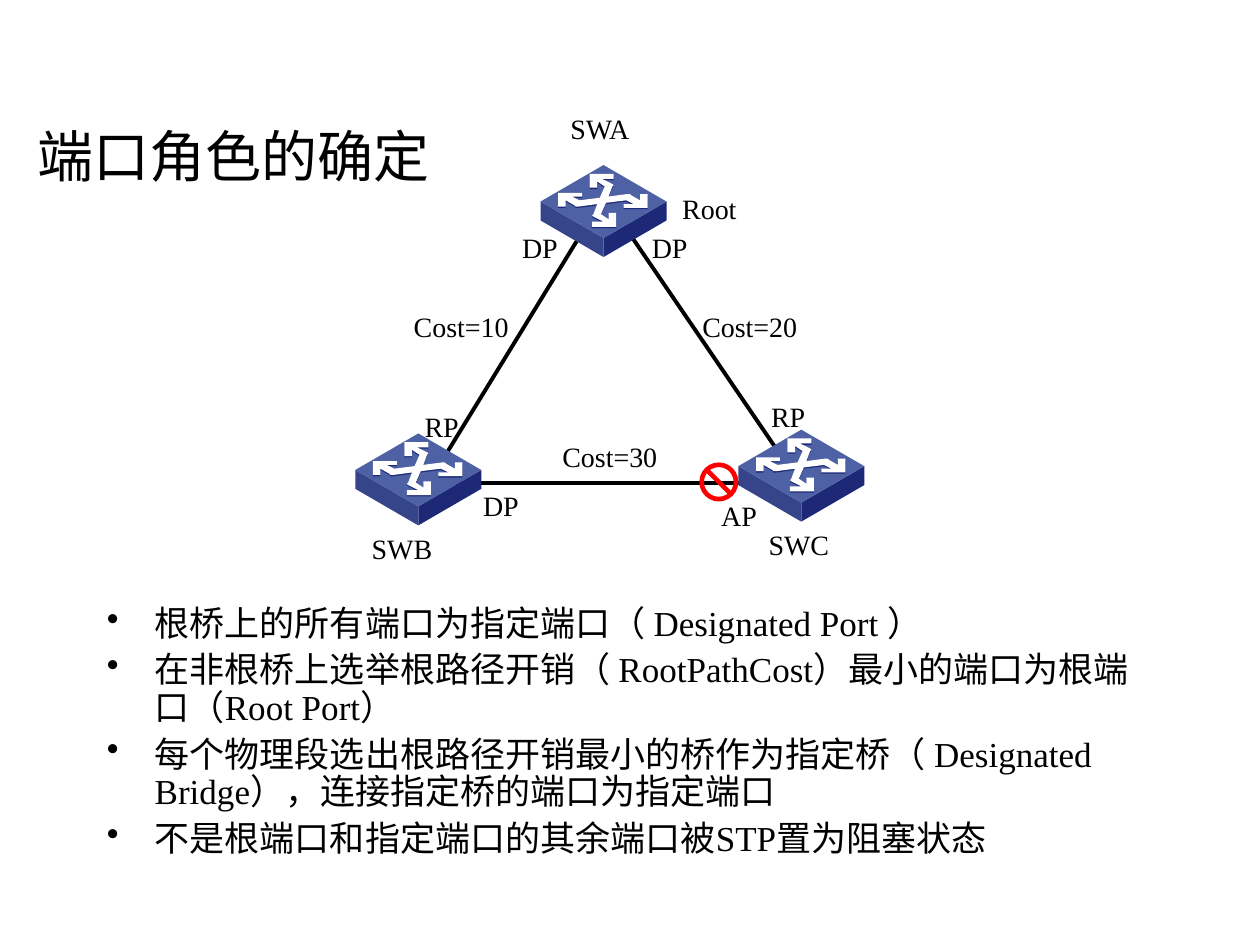
"""Build a slide on how spanning tree port roles are chosen."""
from lxml import etree
from pptx import Presentation
from pptx import util as u
from pptx.dml.color import RGBColor
from pptx.enum import shapes, text
from pptx.oxml import ns

COLORS = {"ink": "000000", "top": "4D61A4", "left": "36458A", "right": "1D2977",
          "arrow": "FFFFFF", "blocked": "FF0000"}
FONT = "Times New Roman"
TITLE = "端口角色的确定"
RULES = [
    "根桥上的所有端口为指定端口（ Designated Port ）",
    "在非根桥上选举根路径开销（ RootPathCost）最小的端口为根端口（Root Port）",
    "每个物理段选出根路径开销最小的桥作为指定桥（ Designated Bridge），连接指定桥的端口为指定端口",
    "不是根端口和指定端口的其余端口被STP置为阻塞状态",
]
LINKS = [((3.5, 3.67), (4.61, 1.86)), ((3.58, 3.83), (6.02, 3.83)), ((5, 1.86), (6.18, 3.59))]
SWITCHES = [(2.82, 3.44), (5.86, 3.41), (4.29, 1.31)]
NAME_WIDTH, PORT_WIDTH, LABEL_HEIGHT = 1.42, 0.79, 0.37
NAMES = [("SWA", 4.05, 0.84), ("SWB", 2.48, 4.17), ("SWC", 5.63, 4.14), ("Root", 4.92, 1.47),
         ("Cost=10", 2.95, 2.41), ("Cost=20", 5.24, 2.41), ("Cost=30", 4.13, 3.44)]
PORTS = [("DP", 3.89, 1.78), ("DP", 4.92, 1.78), ("RP", 3.11, 3.2), ("DP", 3.58, 3.83),
         ("RP", 5.86, 3.12), ("AP", 5.47, 3.91)]

HALF_ARROWS = [(85, 23), (79, 23), (79, 28), (72, 24), (71, 23), (69, 23), (54, 25), (57, 17),
               (58, 16), (57, 15), (49, 11), (58, 11), (58, 7), (39, 7), (39, 18), (45, 18),
               (45, 13), (51, 17), (47, 26), (31, 28), (25, 25), (33, 25), (33, 22), (14, 22)]
ARROWS = HALF_ARROWS + [(99 - x, 56 - y) for x, y in HALF_ARROWS]
SWITCH_FACES = [
    ("right", [(100, 29), (100, 44), (50, 73), (50, 58)]),
    ("left", [(50, 58), (50, 73), (0, 44), (0, 29)]),
    ("top", [(100, 29), (50, 58), (0, 29), (50, 0)]),
    ("right", [(x, y + 1) for x, y in ARROWS]),
    ("arrow", ARROWS),
]


def rgb(name):
    return RGBColor.from_string(COLORS[name])


def paint(shape, color):
    shape.shadow.inherit = False
    shape.fill.solid()
    shape.fill.fore_color.rgb = rgb(color)
    shape.line.fill.background()


def add_frame(slide, left, top, width, height):
    frame = slide.shapes.add_textbox(*map(u.Inches, (left, top, width, height))).text_frame
    frame.word_wrap = True
    return frame


def write(paragraph, words, size):
    run = paragraph.add_run()
    run.text = words
    run.font.size, run.font.name = u.Pt(size), FONT
    run.font.color.rgb = rgb("ink")


def add_label(slide, words, left, top, width):
    paragraph = add_frame(slide, left, top, width, LABEL_HEIGHT).paragraphs[0]
    paragraph.alignment = text.PP_ALIGN.CENTER
    write(paragraph, words, 16)


def add_link(slide, start, end):
    link = slide.shapes.add_connector(shapes.MSO_CONNECTOR.STRAIGHT,
                                      *map(u.Inches, (*start, *end)))
    link.line.color.rgb = rgb("ink")
    link.line.width = u.Pt(2.25)
    etree.SubElement(link._element.spPr, ns.qn("a:effectLst"))


def add_switch(slide, left, top):
    switch = slide.shapes.add_group_shape()
    for color, (start, *rest) in SWITCH_FACES:
        outline = switch.shapes.build_freeform(*start, scale=u.Inches(0.01))
        outline.add_line_segments(rest, close=True)
        paint(outline.convert_to_shape(u.Inches(left), u.Inches(top)), color)


def add_rules(slide):
    frame = add_frame(slide, 0.75, 4.76, 8.43, 2.31)
    for index, rule in enumerate(RULES):
        paragraph = frame.add_paragraph() if index else frame.paragraphs[0]
        paragraph.line_spacing = 0.9
        paragraph.space_before = u.Pt(5 if index else 0)
        properties = paragraph._p.get_or_add_pPr()
        properties.set("marL", str(u.Inches(0.38)))
        properties.set("indent", str(-u.Inches(0.38)))
        etree.SubElement(properties, ns.qn("a:buChar")).set("char", "•")
        write(paragraph, rule, 20)


def main():
    deck = Presentation()
    deck.slide_width, deck.slide_height = u.Inches(10), u.Inches(7.5)
    slide = deck.slides.add_slide(deck.slide_layouts[6])

    title = add_frame(slide, 0.2, 0.99, 7.64, 0.48)
    title.vertical_anchor = text.MSO_ANCHOR.MIDDLE
    write(title.paragraphs[0], TITLE, 32)

    for start, end in LINKS:
        add_link(slide, start, end)
    for left, top in SWITCHES:
        add_switch(slide, left, top)
    add_rules(slide)

    blocked = slide.shapes.add_shape(shapes.MSO_SHAPE.NO_SYMBOL,
                                     *map(u.Inches, (5.55, 3.67, 0.31, 0.31)))
    blocked.adjustments[0] = 0.12
    paint(blocked, "blocked")

    for labels, width in ((NAMES, NAME_WIDTH), (PORTS, PORT_WIDTH)):
        for words, left, top in labels:
            add_label(slide, words, left, top, width)
    deck.save("out.pptx")


if __name__ == "__main__":
    main()
